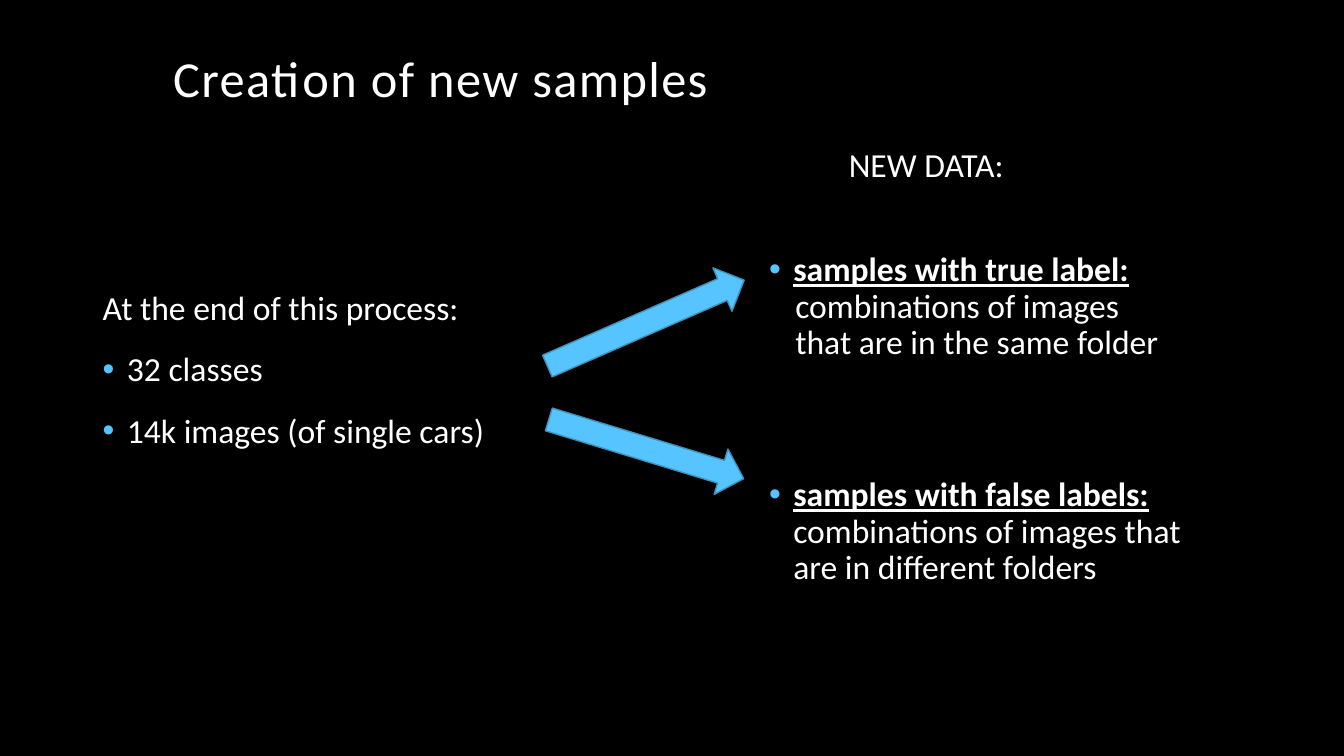
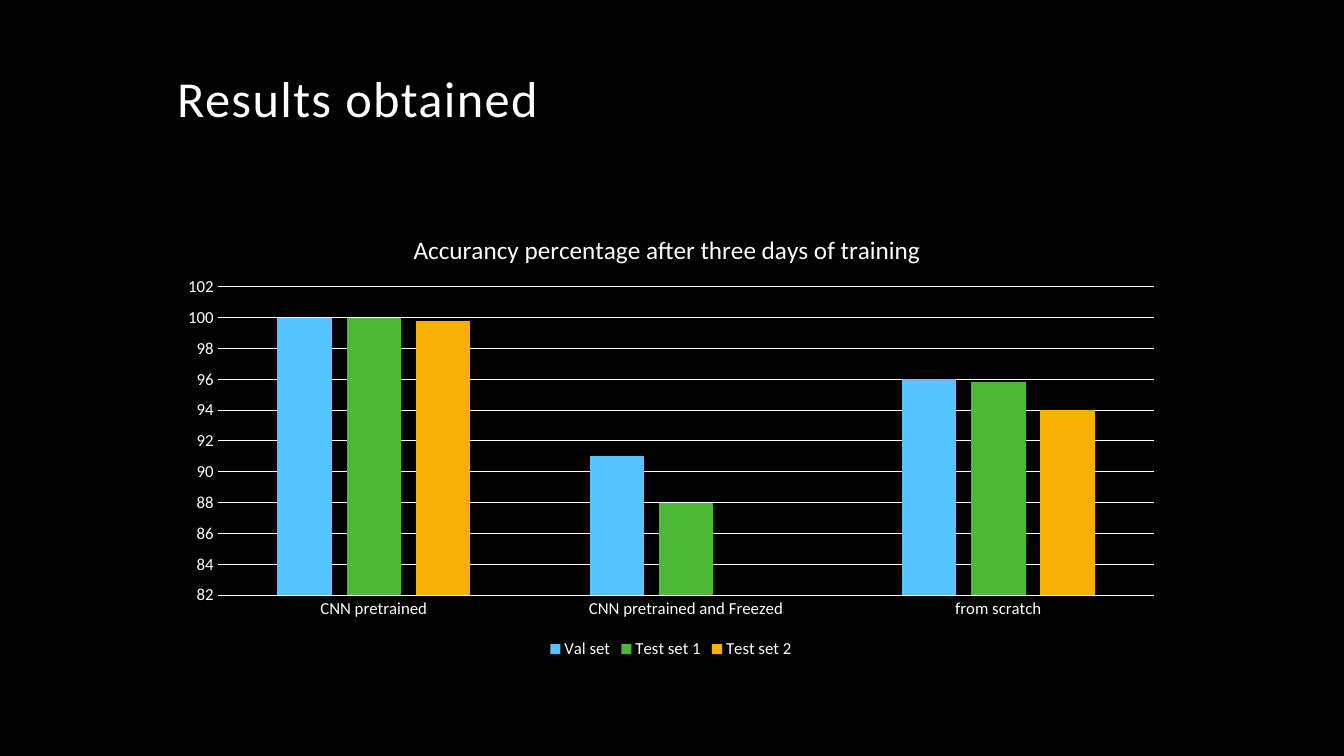
from dataclasses import dataclass

from lxml.etree import SubElement as Sub
from pptx import Presentation
from pptx.chart.data import CategoryChartData as ChartData
from pptx.dml.color import RGBColor as Rgb
from pptx.enum.chart import XL_CHART_TYPE as Kind, XL_LEGEND_POSITION as Side, XL_TICK_MARK as Tick
from pptx.enum.shapes import MSO_SHAPE as Shape
from pptx.enum.text import MSO_ANCHOR as Anchor
from pptx.oxml import parse_xml
from pptx.oxml.ns import nsdecls, qn
from pptx.util import Inches, Pt


@dataclass(frozen=True)
class Theme:
    back: str = "000000"
    ink: str = "FFFFFF"
    blue: str = "56C5FF"
    edge: str = "4092BD"
    green: str = "4BB836"
    gold: str = "F8B004"
    face: str = "Calibri"
    head: int = 36
    body: int = 24
    cap: int = 18
    small: int = 12


T = Theme()
PLAIN = {"bold": False, "underline": False}
STRONG = {"bold": True, "underline": True}
TITLE = {"size": Pt(T.head)}


def style(font, **form):
    form = {"name": T.face, "size": Pt(T.body), **form}
    for key, val in form.items():
        setattr(font, key, val)
    font.color.rgb = Rgb.from_string(T.ink)


def write(slide, box, paras, anchor=Anchor.TOP):
    """Add a text box; each paragraph is (kind, space before, runs of text and format)."""
    frame = slide.shapes.add_textbox(*map(Inches, box)).text_frame
    frame.word_wrap = True
    frame.vertical_anchor = anchor
    for i, (kind, gap, runs) in enumerate(paras):
        para = frame.add_paragraph() if i else frame.paragraphs[0]
        props = para._p.get_or_add_pPr()
        if kind == "bullet":
            props.set("marL", str(Inches(0.24)))
            props.set("indent", str(-Inches(0.24)))
            Sub(Sub(props, qn("a:buClr")), qn("a:srgbClr"), val=T.blue)
            Sub(props, qn("a:buFont"), typeface="Arial")
            Sub(props, qn("a:buChar"), char="•")
        elif kind == "indent":
            props.set("marL", str(Inches(0.26)))
        para.line_spacing = 0.9
        para.space_before = Pt(gap)
        for text, form in runs:
            run = para.add_run()
            run.text = text
            style(run.font, **form)
            if form is TITLE:
                run._r.get_or_add_rPr().set("spc", "100")


prs = Presentation()
prs.slide_width, prs.slide_height = Inches(13.33), Inches(7.5)
fill = prs.slide_master.background.fill
fill.solid()
fill.fore_color.rgb = Rgb.from_string(T.back)

slides = []
for left, top, text in [
    (1.62, 0.36, "Creation of new samples"),
    (1.66, 0.55, "Results obtained"),
]:
    slide = prs.slides.add_slide(prs.slide_layouts[6])
    write(slide, (left, top, 10, 0.77), [("plain", 0, [(text, TITLE)])], Anchor.BOTTOM)
    slides.append(slide)
first, last = slides

# New samples
for box, paras in [
    ((8.32, 1.42, 4.13, 0.5), [("plain", 0, [("NEW DATA:", PLAIN)])]),
    ((7.53, 2.46, 4.25, 2), [
        ("bullet", 0, [("samples with true label:", STRONG)]),
        ("indent", 0, [("combinations of images that are in the same folder", PLAIN)]),
    ]),
    ((7.53, 4.69, 4.41, 1.73), [
        ("bullet", 0, [
            ("samples with false labels: ", STRONG),
            ("combinations of images that are in different folders", PLAIN),
        ]),
    ]),
    ((0.92, 2.84, 4.21, 2.03), [
        ("plain", 0, [("At the end of this process:", PLAIN)]),
        ("bullet", 18, [("32 classes", PLAIN)]),
        ("bullet", 18, [("14k images (of single cars)", PLAIN)]),
    ]),
]:
    write(first, box, paras)

for box, turn in [((5.34, 2.97, 2.13, 0.47), 336.4), ((5.4, 4.22, 2.02, 0.47), 16.9)]:
    arrow = first.shapes.add_shape(Shape.RIGHT_ARROW, *map(Inches, box))
    arrow.rotation = turn
    arrow.shadow.inherit = False
    arrow.fill.solid()
    arrow.fill.fore_color.rgb = Rgb.from_string(T.blue)
    arrow.line.color.rgb = Rgb.from_string(T.edge)
    arrow.line.width = Pt(1)

# Results
data = ChartData()
data.categories = ["CNN pretrained", "CNN pretrained and Freezed", "from scratch"]
series = [
    ("Val set", (100, 91, 96), T.blue),
    ("Test set 1", (100, 88, 95.8), T.green),
    ("Test set 2", (99.8, None, 94), T.gold),
]
for name, vals, _ in series:
    data.add_series(name, vals)
box = map(Inches, (1.66, 2.08, 9.99, 4.5))
chart = last.shapes.add_chart(Kind.COLUMN_CLUSTERED, *box, data).chart
style(chart.font, size=Pt(T.small))

plot = chart.plots[0]
for key, val in {"gap_width": 219, "overlap": -27, "vary_by_categories": False}.items():
    setattr(plot, key, val)
for bars, (_, _, tint) in zip(plot.series, series):
    bars.format.fill.solid()
    bars.format.fill.fore_color.rgb = Rgb.from_string(tint)
    bars.invert_if_negative = False

cats, scale = chart.category_axis, chart.value_axis
for axis in (cats, scale):
    axis.major_tick_mark = axis.minor_tick_mark = Tick.NONE
    style(axis.tick_labels.font, size=Pt(T.small))
for key, val in {"minimum_scale": 82, "maximum_scale": 102, "major_unit": 2}.items():
    setattr(scale, key, val)
scale.format.line.fill.background()
for line in (cats.format.line, scale.major_gridlines.format.line):
    line.color.rgb = Rgb.from_string(T.ink)
    line.width = Pt(0.75)

chart.has_legend = True
chart.legend.position = Side.BOTTOM
chart.legend.include_in_layout = False
style(chart.legend.font, size=Pt(T.small))

chart.has_title = True
frame = chart.chart_title.text_frame
frame.text = "Accurancy percentage after three days of training"
style(frame.paragraphs[0].runs[0].font, size=Pt(T.cap), bold=False)

# Fixed places for the chart title and the plot, as shares of the chart
area = chart._chartSpace.chart.plotArea
for old in area.findall(qn("c:layout")):
    area.remove(old)
head = chart.chart_title._element
for old in head.findall(qn("c:layout")):
    head.remove(old)
for owner, spot, inner, place in [
    (head, 1, "", {"x": 0.24, "y": 0.04}),
    (area, 0, '<c:layoutTarget val="inner"/>', {"x": 0.05, "y": 0.17, "w": 0.93, "h": 0.68}),
]:
    modes = "".join(f'<c:{key}Mode val="edge"/>' for key in place if key in "xy")
    sizes = "".join(f'<c:{key} val="{val}"/>' for key, val in place.items())
    owner.insert(spot, parse_xml(
        f'<c:layout {nsdecls("c")}><c:manualLayout>{inner}{modes}{sizes}'
        "</c:manualLayout></c:layout>"))

prs.save("out.pptx")
